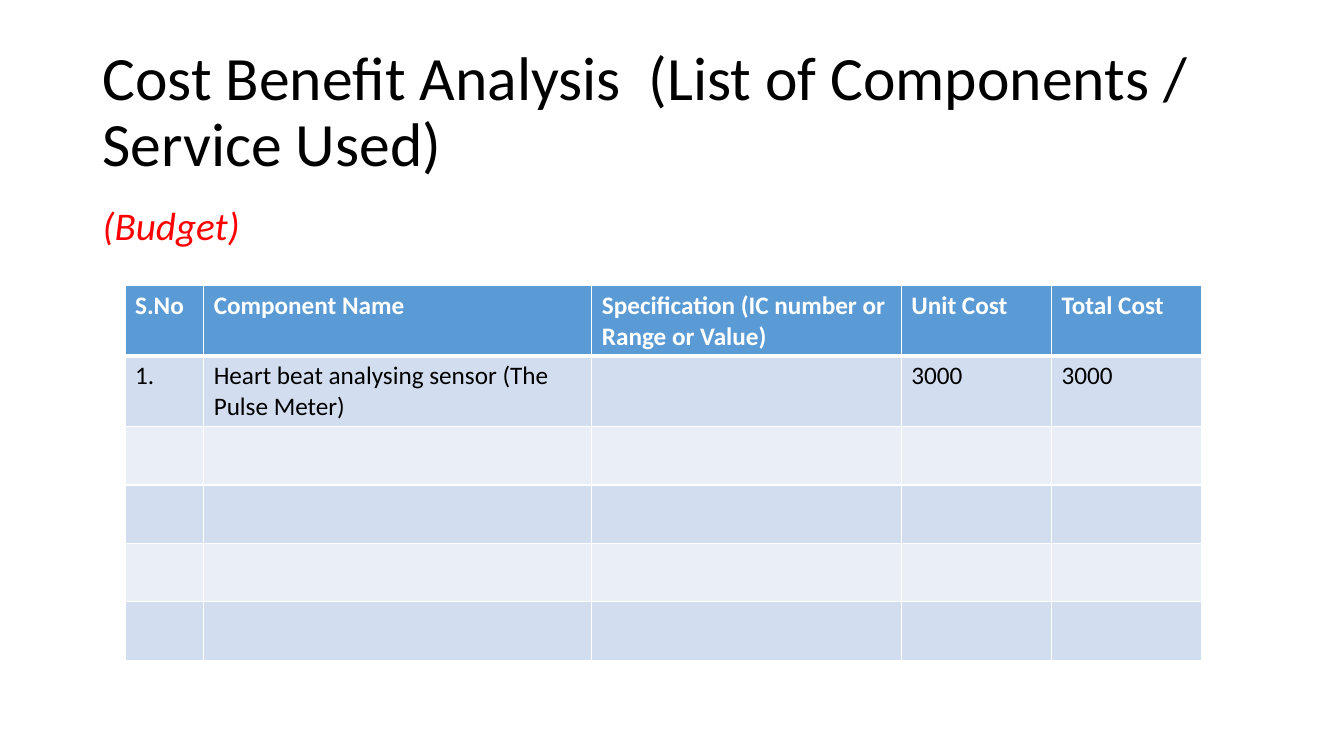
from lxml import etree
from pptx import Presentation
from pptx.dml.color import RGBColor
from pptx.enum.text import MSO_ANCHOR
from pptx.oxml.ns import qn
from pptx.util import Inches, Pt

TOP, MIDDLE = MSO_ANCHOR.TOP, MSO_ANCHOR.MIDDLE
BLACK = RGBColor(0x00, 0x00, 0x00)
WHITE = RGBColor(0xFF, 0xFF, 0xFF)
RED = RGBColor(0xFF, 0x00, 0x00)
HEADER_BLUE = RGBColor(0x5B, 0x9B, 0xD5)
BANDS = (RGBColor(0xD2, 0xDE, 0xEF), RGBColor(0xEA, 0xEF, 0xF7))

COLUMN_WIDTHS = (0.78, 3.85, 3.07, 1.49, 1.49)
HEADER_HEIGHT, ROW_HEIGHT = 0.48, 0.58
EMPTY_ROWS = 4
BUDGET = [
    ("S.No", "Component Name", "Specification (IC number or Range or Value)",
     "Unit Cost", "Total Cost"),
    ("1.", "Heart beat analysing sensor (The Pulse Meter)", "", "3000", "3000"),
] + [("",) * len(COLUMN_WIDTHS)] * EMPTY_ROWS


def write(tf, text, size=18, color=BLACK, bold=False, italic=False, spacing=None):
    """Put formatted text in the first paragraph of a text frame."""
    p = tf.paragraphs[0]
    p.line_spacing = spacing
    font = p.font
    if text:
        r = p.add_run()
        r.text = text
        font = r.font
    font.name = "Calibri"
    font.size = Pt(size)
    font.bold = bold
    font.italic = italic
    font.color.rgb = color


class SlideBuilder:
    """Hold the current slide and draw its elements in one style."""

    def __init__(self, prs):
        self.s = prs.slides.add_slide(prs.slide_layouts[6])

    def text(self, left, top, width, height, text, anchor=TOP, **style):
        """Add a wrapped text box."""
        sp = self.s.shapes.add_textbox(
            Inches(left), Inches(top), Inches(width), Inches(height))
        tf = sp.text_frame
        tf.word_wrap = True
        tf.vertical_anchor = anchor
        write(tf, text, spacing=0.9, **style)

    def border(self, cell, side, width):
        """Draw a white border on one side of a cell."""
        ln = etree.SubElement(cell._tc.get_or_add_tcPr(), qn(f"a:ln{side}"),
                              w=str(Pt(width)))
        fill = etree.SubElement(ln, qn("a:solidFill"))
        etree.SubElement(fill, qn("a:srgbClr"), val=str(WHITE))

    def table(self, left, top, width, height, rows):
        """Add a table with a header row and banded body rows."""
        table = self.s.shapes.add_table(
            len(rows), len(COLUMN_WIDTHS),
            Inches(left), Inches(top), Inches(width), Inches(height)).table
        for column, column_width in zip(table.columns, COLUMN_WIDTHS):
            column.width = Inches(column_width)
        for i, values in enumerate(rows):
            header = i == 0
            table.rows[i].height = Inches(HEADER_HEIGHT if header else ROW_HEIGHT)
            widths = {"L": 1, "R": 1, "T": 3 if i == 1 else 1, "B": 3 if header else 1}
            for j, value in enumerate(values):
                cell = table.cell(i, j)
                for side, line_width in widths.items():
                    self.border(cell, side, line_width)
                cell.fill.solid()
                cell.fill.fore_color.rgb = HEADER_BLUE if header else BANDS[(i - 1) % 2]
                write(cell.text_frame, value, bold=header,
                      color=WHITE if header else BLACK)


def main():
    """Build the budget slide and save it."""
    prs = Presentation()
    prs.slide_width, prs.slide_height = Inches(13.33), Inches(7.5)
    slide = SlideBuilder(prs)
    slide.text(0.92, 0.4, 11.5, 1.45,
               "Cost Benefit Analysis  (List of Components / Service Used)",
               anchor=MIDDLE, size=44)
    slide.text(0.92, 2, 11.5, 4.76, "(Budget)", size=28, color=RED, italic=True)
    slide.table(1.24, 2.83, 10.68, 3.72, BUDGET)
    prs.save("out.pptx")


if __name__ == "__main__":
    main()
